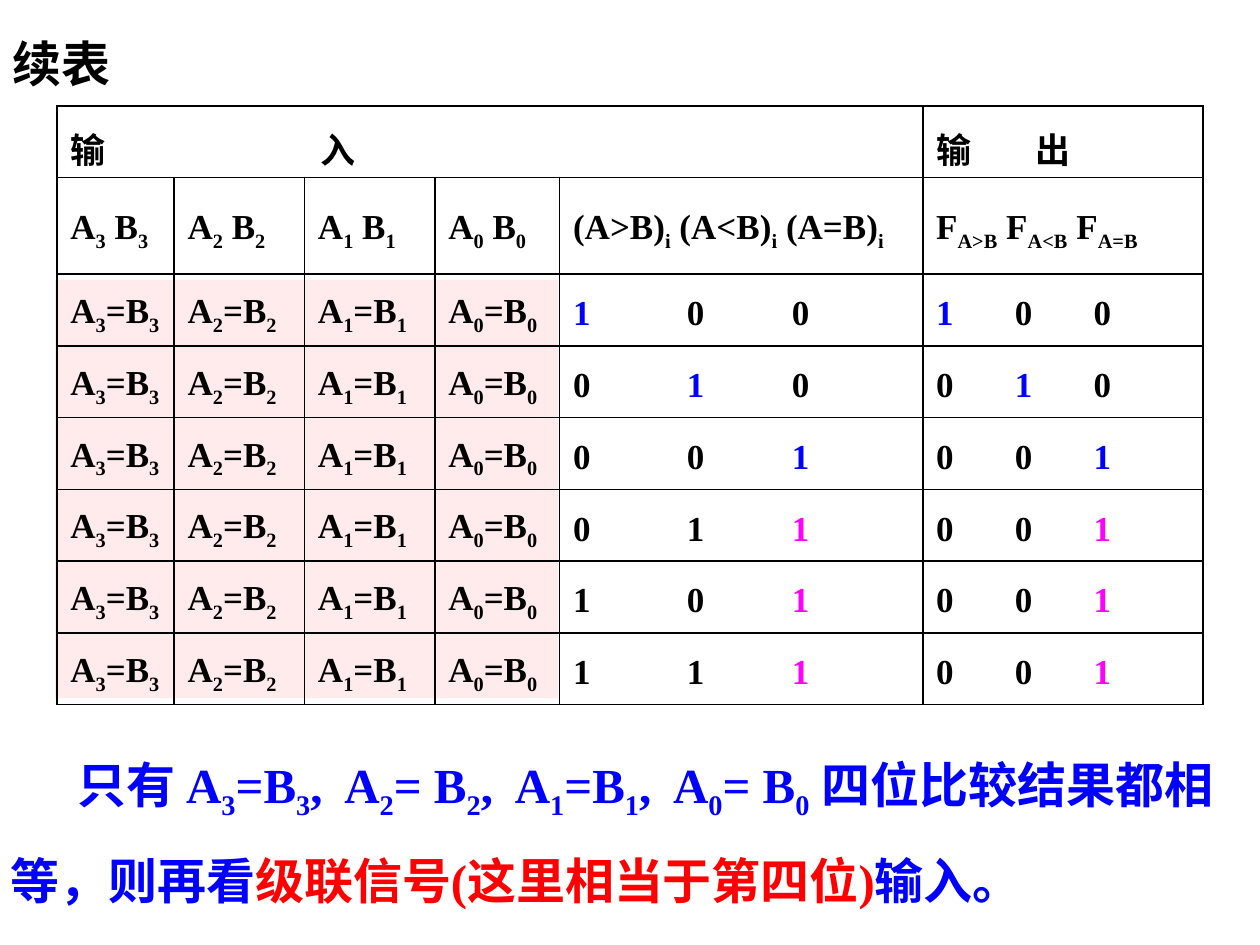
from lxml import etree
from pptx import Presentation
from pptx import util as u
from pptx.dml.color import RGBColor
from pptx.enum import shapes, text
from pptx.oxml.ns import qn

Pt = u.Pt
BLACK, BLUE, RED, PINK, ROSE = "000000", "0000FF", "FF0000", "FF00FF", "FFEBEB"
COLS = [67, 74.5, 74.5, 71.3, 207.5, 160]
ROWS = [41, 55.2] + [41] * 6
IN_TABS, OUT_TABS = [65, 125], [45, 90]
STATES = [("100", "100", BLUE), ("010", "010", BLUE), ("001", "001", BLUE),
          ("011", "001", PINK), ("101", "001", PINK), ("111", "001", PINK)]


def tint(part, hue):
    part.solid()
    part.fore_color.rgb = RGBColor.from_string(hue)


def write(para, parts, size, tabs=()):
    if tabs:
        stops = etree.SubElement(para._p.get_or_add_pPr(), qn("a:tabLst"))
        for pos in tabs:
            etree.SubElement(stops, qn("a:tab"), pos=str(Pt(pos)), algn="l")
    font = para.font
    font.name, font.size, font.bold = "Times New Roman", Pt(size), True
    for words, hue in parts:
        for i, piece in enumerate(words.split("|")):
            if piece:
                run = para.add_run()
                run.text = piece
                tint(run.font.fill, hue)
                if i % 2:
                    run.font._element.set("baseline", "-25000")


def add_text(slide, box, parts, size, indent=0, line=1):
    frame = slide.shapes.add_textbox(*map(Pt, box)).text_frame
    frame.word_wrap = True
    frame.vertical_anchor = text.MSO_ANCHOR.MIDDLE
    para = frame.paragraphs[0]
    para.line_spacing = line
    if indent:
        para._p.get_or_add_pPr().set("indent", str(Pt(indent)))
    write(para, parts, size)


def frame_cell(cell):
    props = cell._tc.get_or_add_tcPr()
    for i, side in enumerate(("lnL", "lnR", "lnT", "lnB")):
        edge = etree.Element(qn("a:" + side), w=str(Pt(1.08)))
        fill = etree.SubElement(edge, qn("a:solidFill"))
        etree.SubElement(fill, qn("a:srgbClr"), val=BLACK)
        props.insert(i, edge)


def fill_cell(cell, parts, tabs=()):
    cell.vertical_anchor = text.MSO_ANCHOR.MIDDLE
    cell.margin_left, cell.margin_right = Pt(7.7), Pt(4)
    cell.margin_top = cell.margin_bottom = Pt(3.6)
    para = cell.text_frame.paragraphs[0]
    para.line_spacing = 1.2
    write(para, parts, 20, tabs)


def bits(word, hot, hue):
    return [(("\t" if i else "") + bit, hue if i == hot else BLACK)
            for i, bit in enumerate(word)]


def add_truth(slide, left, top):
    back = slide.shapes.add_shape(
        shapes.MSO_SHAPE.RECTANGLE, Pt(left - 1), Pt(top + 99.5), Pt(287.5), Pt(239))
    back.shadow.inherit = False
    tint(back.fill, ROSE)
    back.line.fill.background()

    grid = slide.shapes.add_table(
        len(ROWS), len(COLS), Pt(left), Pt(top), Pt(sum(COLS)), Pt(sum(ROWS))).table
    grid.first_row = grid.horz_banding = False
    for col, width in zip(grid.columns, COLS):
        col.width = Pt(width)
    for row, height in zip(grid.rows, ROWS):
        row.height = Pt(height)
    for cell in grid.iter_cells():
        cell.fill.background()
        frame_cell(cell)

    grid.cell(0, 0).merge(grid.cell(0, 4))
    fill_cell(grid.cell(0, 0), [("输\t入", BLACK)], [143])
    fill_cell(grid.cell(0, 5), [("输\t出", BLACK)], [56.5])
    for c in range(4):
        n = 3 - c
        fill_cell(grid.cell(1, c), [(f"A|{n}| B|{n}|", BLACK)])
        for r in range(2, len(ROWS)):
            fill_cell(grid.cell(r, c), [(f"A|{n}|=B|{n}|", BLACK)])
    fill_cell(grid.cell(1, 4), [("(A>B)|i| (A<B)|i| (A=B)|i|", BLACK)])
    fill_cell(grid.cell(1, 5), [("F|A>B| F|A<B| F|A=B|", BLACK)])
    for r, (ins, outs, hue) in enumerate(STATES, 2):
        hot = outs.index("1")
        fill_cell(grid.cell(r, 4), bits(ins, hot, hue), IN_TABS)
        fill_cell(grid.cell(r, 5), bits(outs, hot, hue), OUT_TABS)


def main():
    deck = Presentation()
    deck.slide_width, deck.slide_height = Pt(720), Pt(540)
    slide = deck.slides.add_slide(deck.slide_layouts[6])
    add_text(slide, (0, 15.4, 92, 41), [("续表", BLACK)], 28)
    add_truth(slide, 32.5, 60.5)
    add_text(slide, (-1, 408.4, 720, 115), [
        ("只有 A|3|=B|3|,  A|2|= B|2|,  A|1|=B|1|,  A|0|= B|0| 四位比较结果都相等，则再看", BLUE),
        ("级联信号(这里相当于第四位)", RED),
        ("输入。", BLUE)], 28, 38, 1.5)
    deck.save("out.pptx")


if __name__ == "__main__":
    main()
